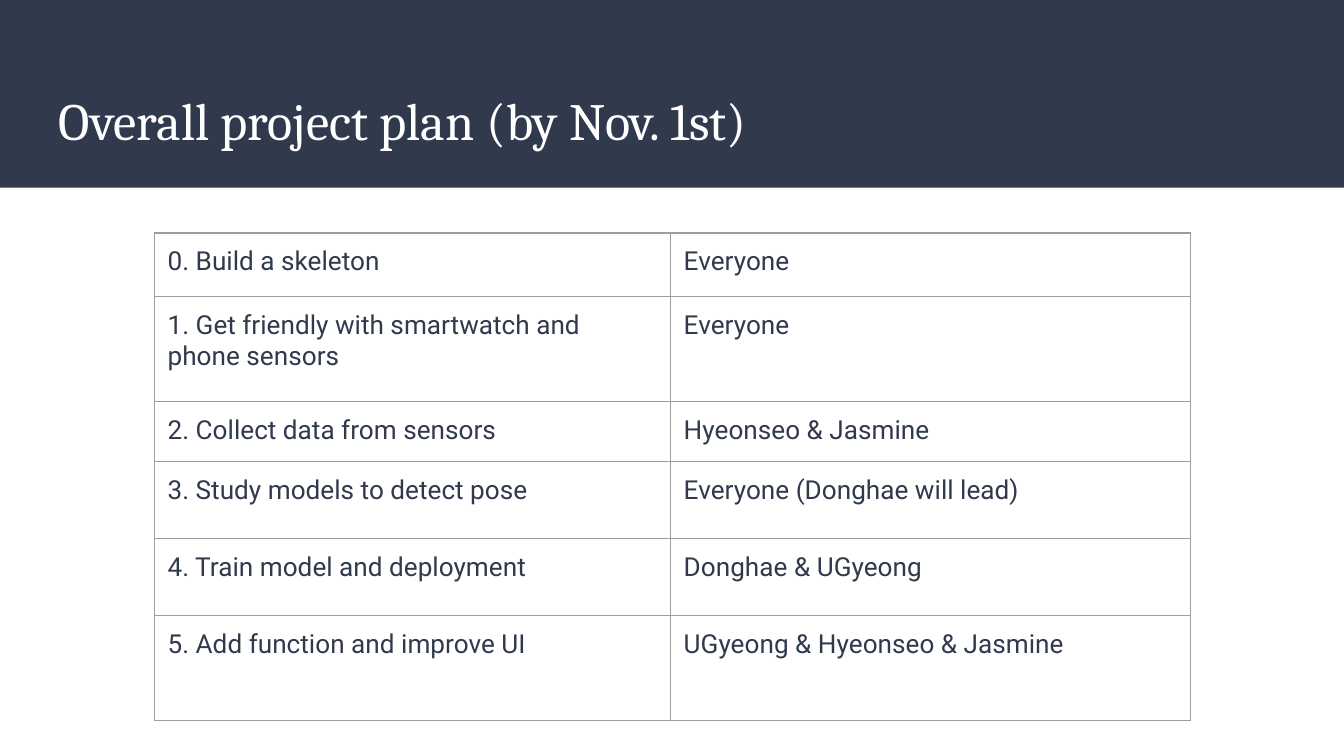
from lxml import etree
from pptx import Presentation
from pptx.dml.color import RGBColor
from pptx.enum.shapes import MSO_SHAPE as Shape
from pptx.enum.text import MSO_ANCHOR as Anchor
from pptx.oxml.ns import qn
from pptx.util import Pt

NAVY = RGBColor(0x31, 0x39, 0x4D)
WHITE = RGBColor(0xFF, 0xFF, 0xFF)
GREY = RGBColor(0x9E, 0x9E, 0x9E)

# Content
TITLE = "Overall project plan (by Nov. 1st)"
PLAN = [  # task, people, row height
    ("0. Build a skeleton", "Everyone", 34),
    ("1. Get friendly with smartwatch and phone sensors", "Everyone", 56.2),
    ("2. Collect data from sensors", "Hyeonseo & Jasmine", 32.2),
    ("3. Study models to detect pose", "Everyone (Donghae will lead)", 41.4),
    ("4. Train model and deployment", "Donghae & UGyeong", 41.4),
    ("5. Add function and improve UI", "UGyeong & Hyeonseo & Jasmine", 56.2),
]
COLUMN_WIDTHS = (276.5, 278.5)
INSET = Pt(7.2)


def write(frame, text, font_name, size, color):
    para = frame.paragraphs[0]
    para.text = text
    font = para.font
    font.name, font.size = font_name, Pt(size)
    font.color.rgb = color


def add_borders(cell):
    props = cell._tc.get_or_add_tcPr()
    for position, side in enumerate(("lnL", "lnR", "lnT", "lnB")):
        line = etree.Element(qn(f"a:{side}"), w=str(Pt(0.75)))
        fill = etree.SubElement(line, qn("a:solidFill"))
        etree.SubElement(fill, qn("a:srgbClr"), val=str(GREY))
        props.insert(position, line)


deck = Presentation()
deck.slide_width, deck.slide_height = Pt(720), Pt(405)
page = deck.slides.add_slide(deck.slide_layouts[6])

# Header band
band = page.shapes.add_shape(Shape.RECTANGLE, 0, 0, deck.slide_width, Pt(100.6))
band.shadow.inherit = False
band.fill.solid()
band.fill.fore_color.rgb = NAVY
band.line.fill.background()

# Title
box = page.shapes.add_textbox(Pt(24.5), Pt(39.6), Pt(671), Pt(49))
frame = box.text_frame
frame.word_wrap = True
frame.vertical_anchor = Anchor.MIDDLE
frame.margin_left = frame.margin_right = INSET
frame.margin_top = frame.margin_bottom = INSET
write(frame, TITLE, "Cambria", 28, WHITE)

# Plan table
table = page.shapes.add_table(
    len(PLAN), len(COLUMN_WIDTHS), Pt(82.6), Pt(124.8),
    Pt(sum(COLUMN_WIDTHS)), Pt(sum(height for *_, height in PLAN))).table
table.first_row = table.horz_banding = False
for column, width in zip(table.columns, COLUMN_WIDTHS):
    column.width = Pt(width)
for row, (*texts, height) in zip(table.rows, PLAN):
    row.height = Pt(height)
    for cell, text in zip(row.cells, texts):
        cell.fill.background()
        cell.margin_left = cell.margin_right = INSET
        cell.margin_top = cell.margin_bottom = INSET
        write(cell.text_frame, text, "Roboto", 14, NAVY)
        add_borders(cell)

deck.save("out.pptx")
